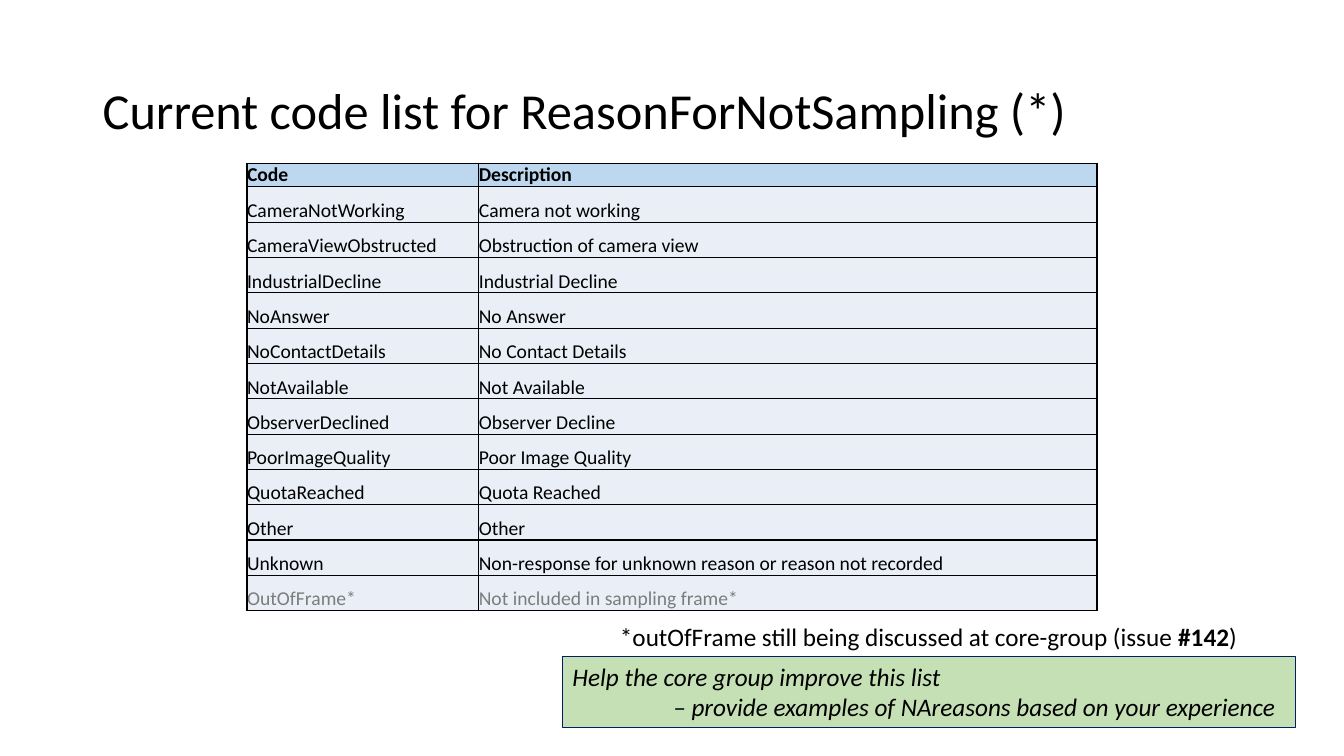
from lxml import etree
from pptx import Presentation, util as u
from pptx.dml.color import RGBColor
from pptx.enum import shapes, text
from pptx.oxml.ns import qn

WIDTH, HEIGHT = u.Inches(13.33), u.Inches(7.5)
COLORS = {
    "black": "000000",
    "grey": "7C7C7C",
    "header": "BDD7EE",
    "row": "EAEFF7",
    "callout": "C5E0B4",
    "outline": "002060",
}
CODES = [
    ("CameraNotWorking", "Camera not working"),
    ("CameraViewObstructed", "Obstruction of camera view"),
    ("IndustrialDecline", "Industrial Decline"),
    ("NoAnswer", "No Answer"),
    ("NoContactDetails", "No Contact Details"),
    ("NotAvailable", "Not Available"),
    ("ObserverDeclined", "Observer Decline"),
    ("PoorImageQuality", "Poor Image Quality"),
    ("QuotaReached", "Quota Reached"),
    ("Other", "Other"),
    ("Unknown", "Non-response for unknown reason or reason not recorded"),
    ("OutOfFrame*", "Not included in sampling frame*"),
]


def across(percent):
    return round(WIDTH * percent / 100)


def down(percent):
    return round(HEIGHT * percent / 100)


def area(left, top, width, height):
    return across(left), down(top), across(width), down(height)


def color(name):
    return RGBColor.from_string(COLORS[name])


def fill(target, name):
    target.fill.solid()
    target.fill.fore_color.rgb = color(name)


def add_span(para, words, size=18, ink="black", bold=False, italic=False):
    span = para.add_run()
    span.text = words
    span.font.name = "Calibri"
    span.font.size = u.Pt(size)
    span.font.bold = bold
    span.font.italic = italic
    span.font.color.rgb = color(ink)


def set_frame(box, anchor=text.MSO_ANCHOR.TOP, wrap=False):
    frame = box.text_frame
    frame.word_wrap = wrap
    frame.vertical_anchor = anchor
    if not wrap:
        frame.auto_size = text.MSO_AUTO_SIZE.SHAPE_TO_FIT_TEXT
    return frame


def add_borders(cell):
    properties = cell._tc.get_or_add_tcPr()
    for place, side in enumerate(("lnL", "lnR", "lnT", "lnB")):
        line = etree.Element(qn(f"a:{side}"), w=str(u.Pt(1)))
        paint = etree.SubElement(line, qn("a:solidFill"))
        etree.SubElement(paint, qn("a:srgbClr"), val=COLORS["black"])
        properties.insert(place, line)


def fill_cell(cell, words, background, spacing=None, **style):
    cell.margin_left = cell.margin_right = cell.margin_top = cell.margin_bottom = 0
    cell.vertical_anchor = text.MSO_ANCHOR.MIDDLE
    fill(cell, background)
    add_borders(cell)
    para = cell.text_frame.paragraphs[0]
    para.line_spacing = spacing
    add_span(para, words, size=14, **style)


def add_title(page):
    box = page.shapes.add_textbox(*area(6.9, 5.33, 86.27, 19.33))
    para = set_frame(box, text.MSO_ANCHOR.MIDDLE, wrap=True).paragraphs[0]
    para.line_spacing = 0.9
    add_span(para, "Current code list for ReasonForNotSampling (*)", size=36)


def add_code_table(page):
    place = area(18.38, 21.6, 63.24, 49.2)
    holder = page.shapes.add_table(len(CODES) + 1, 2, *place)
    table = holder.table
    for column, share in zip(table.columns, (17.25, 45.99)):
        column.width = across(share)
    tall_rows = (0, len(CODES) - 1, len(CODES))
    for index, row in enumerate(table.rows):
        row.height = down(2.93 if index in tall_rows else 2.4)
    holder.height = place[3]

    for cell, words in zip(table.rows[0].cells, ("Code", "Description")):
        fill_cell(cell, words, "header", bold=True)
    for index, entry in enumerate(CODES, 1):
        ink = "grey" if index == len(CODES) else "black"
        for cell, words in zip(table.rows[index].cells, entry):
            fill_cell(cell, words, "row", spacing=1.5, ink=ink)
    table.cell(len(CODES), 0).vertical_anchor = text.MSO_ANCHOR.TOP


def add_callout(page):
    box = page.shapes.add_shape(
        shapes.MSO_SHAPE.RECTANGLE, *area(41.86, 86.8, 54.54, 9.47))
    box.shadow.inherit = False
    fill(box, "callout")
    box.line.color.rgb = color("outline")
    box.line.width = u.Pt(0.75)
    frame = set_frame(box)
    request, detail = frame.paragraphs[0], frame.add_paragraph()
    detail._p.get_or_add_pPr().set("marL", str(u.Inches(1)))
    for para, words in (
        (request, "Help the core group improve this list"),
        (detail, "– provide examples of NAreasons based on your experience"),
    ):
        para.alignment = text.PP_ALIGN.LEFT
        add_span(para, words, italic=True)


def add_footnote(page):
    box = page.shapes.add_textbox(*area(45.39, 81.47, 47.94, 5.33))
    para = set_frame(box).paragraphs[0]
    add_span(para, "*outOfFrame still being discussed at core-group (issue ")
    add_span(para, "#142", bold=True)
    add_span(para, ")")


def main():
    deck = Presentation()
    deck.slide_width, deck.slide_height = WIDTH, HEIGHT
    page = deck.slides.add_slide(deck.slide_layouts[6])
    add_title(page)
    add_code_table(page)
    add_callout(page)
    add_footnote(page)
    deck.save("out.pptx")


if __name__ == "__main__":
    main()
